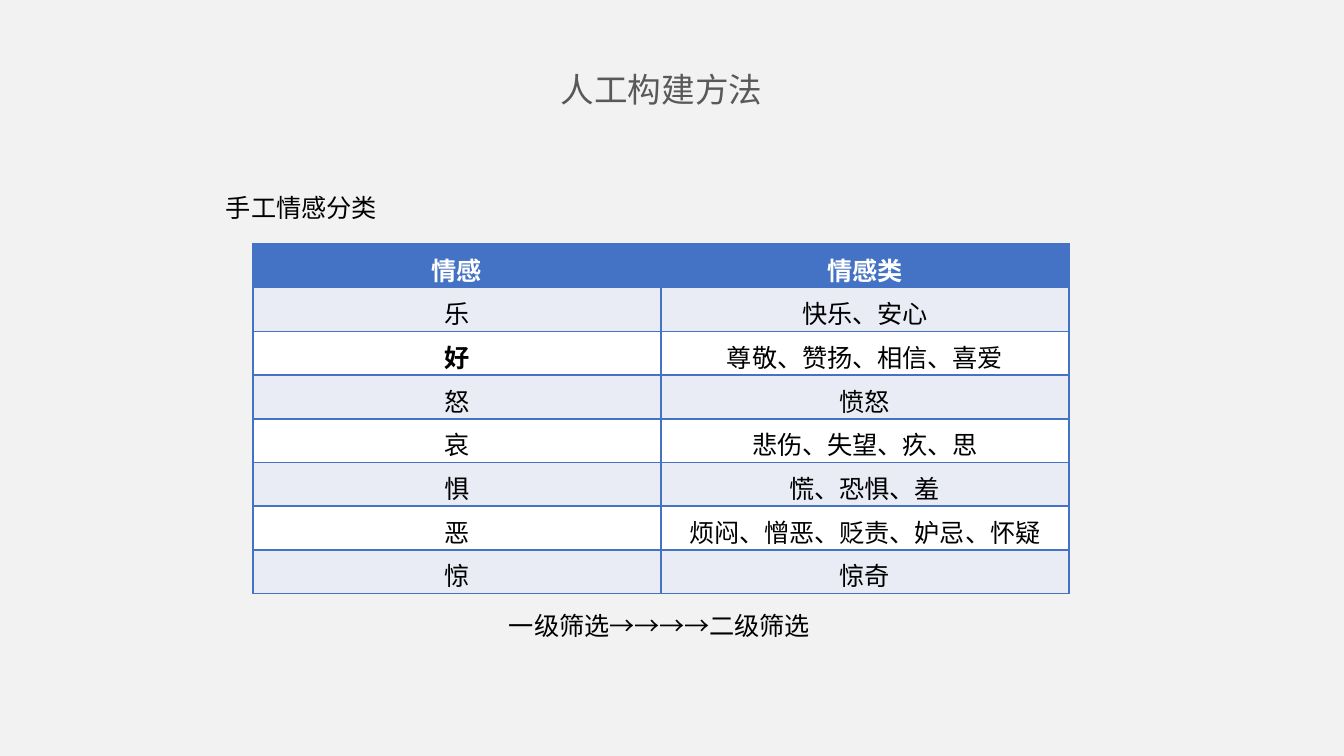
from dataclasses import dataclass

from lxml import etree
from pptx import Presentation
from pptx import util as u
from pptx.dml.color import RGBColor
from pptx.enum import text as t
from pptx.oxml.ns import qn

SCALE = 914400 / 134.4


@dataclass(frozen=True)
class Theme:
    font: str = "Arial"
    back: str = "F2F2F2"
    title: str = "595959"
    ink: str = "000000"
    white: str = "FFFFFF"
    blue: str = "4472C4"
    band: str = "E9EBF5"
    head: float = 18
    body: float = 13.5


THEME = Theme()
ROWS = [
    ("情感", "情感类"),
    ("乐", "快乐、安心"),
    ("好", "尊敬、赞扬、相信、喜爱"),
    ("怒", "愤怒"),
    ("哀", "悲伤、失望、疚、思"),
    ("惧", "慌、恐惧、羞"),
    ("恶", "烦闷、憎恶、贬责、妒忌、怀疑"),
    ("惊", "惊奇"),
]


def px(n):
    return u.Emu(round(n * SCALE))


def write(frame, words, size=THEME.body, color=THEME.ink, bold=False,
          align=t.PP_ALIGN.LEFT):
    para = frame.paragraphs[0]
    para.alignment = align
    run = para.add_run()
    run.text = words
    font = run.font
    font.name, font.size, font.bold = THEME.font, u.Pt(size), bold
    font.color.rgb = RGBColor.from_string(color)


def inset(part, side, top, base):
    part.margin_left = part.margin_right = px(side)
    part.margin_top, part.margin_bottom = px(top), px(base)
    part.vertical_anchor = t.MSO_ANCHOR.TOP


def border(cell):
    props = cell._tc.get_or_add_tcPr()
    for spot, side in enumerate(("lnL", "lnR", "lnT", "lnB")):
        line = etree.Element(qn(f"a:{side}"), w=str(u.Pt(1)))
        fill = etree.SubElement(line, qn("a:solidFill"))
        etree.SubElement(fill, qn("a:srgbClr"), val=THEME.blue)
        props.insert(spot, line)


def heading(slide, box, words):
    shape = slide.shapes.title
    shape.left, shape.top, shape.width, shape.height = map(px, box)
    frame = shape.text_frame
    frame.auto_size = t.MSO_AUTO_SIZE.NONE
    inset(frame, 9, 5, 5)
    write(frame, words, size=THEME.head, color=THEME.title,
          align=t.PP_ALIGN.CENTER)


def label(slide, box, words):
    frame = slide.shapes.add_textbox(*map(px, box)).text_frame
    frame.word_wrap = False
    inset(frame, 9, 5, 5)
    write(frame, words)


def grid(slide, box, rows):
    """Place a two-column table with a blue head and banded rows."""
    shape = slide.shapes.add_table(len(rows), len(rows[0]), *map(px, box))
    table = shape.table
    for row in table.rows:
        row.height = px(box[3] / len(rows))
    for r, row in enumerate(rows):
        fill = THEME.blue if r == 0 else THEME.band if r % 2 else THEME.white
        for c, words in enumerate(row):
            cell = table.cell(r, c)
            inset(cell, 9, 7, 0)
            cell.fill.solid()
            cell.fill.fore_color.rgb = RGBColor.from_string(fill)
            border(cell)
            write(cell.text_frame, words, bold=r == 0 or words == "好",
                  color=THEME.ink if r else THEME.white,
                  align=t.PP_ALIGN.CENTER)


def main():
    deck = Presentation()
    deck.slide_width, deck.slide_height = px(1344), px(756)
    slide = deck.slides.add_slide(deck.slide_layouts[5])
    back = slide.background.fill
    back.solid()
    back.fore_color.rgb = RGBColor.from_string(THEME.back)
    heading(slide, (511, 64, 301, 54), "人工构建方法")
    grid(slide, (253, 244, 816, 350), ROWS)
    label(slide, (217, 187, 180, 44), "手工情感分类")
    label(slide, (500, 605, 330, 44), "一级筛选→→→→二级筛选")
    deck.save("out.pptx")


if __name__ == "__main__":
    main()
